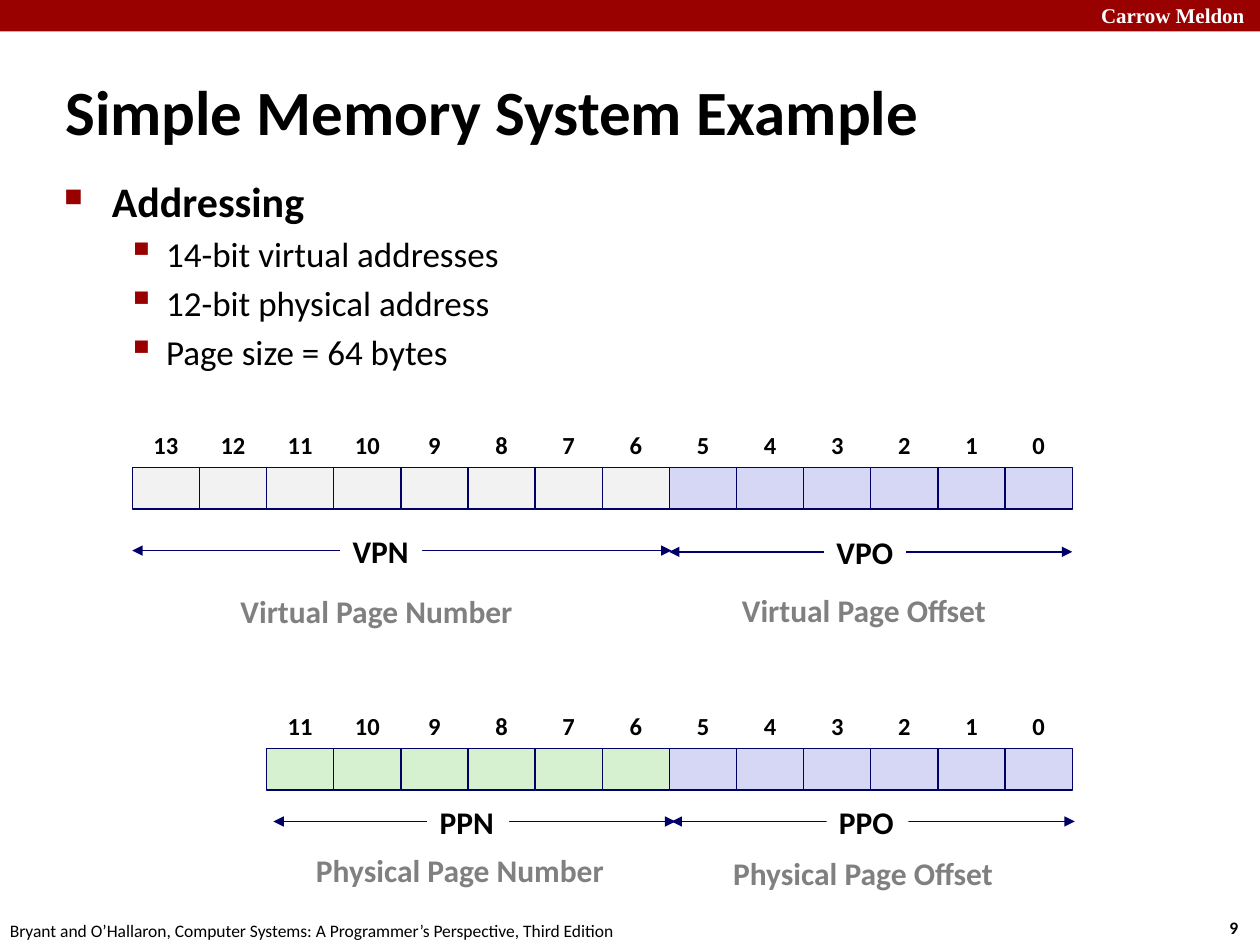
from pptx import Presentation
from pptx.dml.color import RGBColor
from pptx.enum.shapes import MSO_CONNECTOR, MSO_SHAPE
from pptx.enum.text import MSO_ANCHOR, PP_ALIGN
from pptx.oxml.ns import qn
from pptx.util import Inches, Pt
from lxml.etree import SubElement

NAVY, RED, GREY = "000066", "990000", "808080"
PALE, LILAC, GREEN = "F2F2F2", "D6D6F5", "D5F1CF"
LEFT, RIGHT, BITS = 1.05, 8.51, 14
STEP = (RIGHT - LEFT) / BITS
HIGH = 0.33


def color(code):
    return RGBColor.from_string(code)


def add_rect(shapes, x, y, w, h, fill, line=None):
    rect = shapes.add_shape(MSO_SHAPE.RECTANGLE, Inches(x), Inches(y),
                            Inches(w), Inches(h))
    rect.shadow.inherit = False
    rect.fill.solid()
    rect.fill.fore_color.rgb = color(fill)
    if line:
        rect.line.color.rgb = color(line)
        rect.line.width = Pt(0.75)
    else:
        rect.line.fill.background()
    return rect


def add_box(shapes, x, y, w, h):
    return shapes.add_textbox(Inches(x), Inches(y), Inches(w), Inches(h))


def put_text(para, text, size=18, bold=True, ink="000000", font="Calibri",
             align=PP_ALIGN.LEFT, before=0, lead=None):
    para.alignment = align
    para.space_before = Pt(before)
    if lead:
        para.line_spacing = lead
    run = para.add_run()
    run.text = text
    run.font.size, run.font.bold, run.font.name = Pt(size), bold, font
    run.font.color.rgb = color(ink)


def write(shape, text, wrap=False, anchor=MSO_ANCHOR.TOP, **style):
    """Fill a shape with one paragraph of text."""
    frame = shape.text_frame
    frame.word_wrap = wrap
    frame.vertical_anchor = anchor
    put_text(frame.paragraphs[0], text, **style)


def add_bullet(para, mark, scale, indent, hang):
    props = para._p.get_or_add_pPr()
    props.set("marL", str(Inches(indent)))
    props.set("indent", str(-Inches(hang)))
    paint = SubElement(props, qn("a:buClr"))
    SubElement(paint, qn("a:srgbClr"), val=RED)
    SubElement(props, qn("a:buSzPct"), val=str(scale * 1000))
    SubElement(props, qn("a:buChar"), char=mark)


def add_list(shapes):
    frame = add_box(shapes, 0.41, 1.34, 9.09, 1.73).text_frame
    frame.word_wrap = True
    head = frame.paragraphs[0]
    put_text(head, "Addressing", size=24, before=4.8)
    add_bullet(head, "■", 60, 0.38, 0.38)
    for item in ("14-bit virtual addresses", "12-bit physical address",
                 "Page size = 64 bytes"):
        para = frame.add_paragraph()
        para.level = 1
        put_text(para, item, size=20, bold=False, before=4)
        add_bullet(para, "▪", 110, 0.81, 0.31)


def add_bits(shapes, top, count, fill):
    """Draw numbered bits down to 0; the lowest six are the page offset."""
    for bit in reversed(range(count)):
        x = RIGHT - (bit + 1) * STEP
        add_rect(shapes, x, top, STEP, HIGH, LILAC if bit < 6 else fill, NAVY)
        write(add_box(shapes, x, top - HIGH, STEP, HIGH), str(bit), size=14,
              anchor=MSO_ANCHOR.MIDDLE, align=PP_ALIGN.CENTER,
              before=5.2, lead=0.88)


def add_span(shapes, start, end, y, name, x):
    """Draw a two-headed arrow with its name set into it."""
    group = shapes.add_group_shape().shapes
    arrow = group.add_connector(MSO_CONNECTOR.STRAIGHT, Inches(start),
                                Inches(y), Inches(end), Inches(y))
    arrow.line.color.rgb = color(NAVY)
    arrow.line.width = Pt(0.75)
    line = arrow.line._get_or_add_ln()
    for tip in ("a:headEnd", "a:tailEnd"):
        SubElement(line, qn(tip), type="triangle")
    SubElement(arrow._element.spPr, qn("a:effectLst"))
    label = add_rect(group, x, y - 0.16, 0.65, 0.36, "FFFFFF")
    write(label, name, before=6.8, lead=0.88)


def add_frame(shapes):
    add_rect(shapes, 0, 0, 10, 0.25, RED)
    write(add_box(shapes, 8.64, -0.03, 1.43, 0.3), "Carrow Meldon", wrap=True,
          size=12, font="Times New Roman", ink="FFFFFF")
    write(add_box(shapes, 9.66, 7.23, 0.37, 0.27), "9", size=10)
    write(add_box(shapes, -0.02, 7.25, 5.08, 0.27),
          "Bryant and O’Hallaron, Computer Systems: "
          "A Programmer’s Perspective, Third Edition", size=10, bold=False)
    write(add_box(shapes, 0.42, 0.56, 7.99, 0.63),
          "Simple Memory System Example", wrap=True, size=36,
          anchor=MSO_ANCHOR.MIDDLE)


def main():
    deck = Presentation()
    deck.slide_width, deck.slide_height = Inches(10), Inches(7.5)
    shapes = deck.slides.add_slide(deck.slide_layouts[6]).shapes
    add_frame(shapes)
    add_list(shapes)
    add_bits(shapes, 3.71, 14, PALE)
    add_bits(shapes, 5.94, 12, GREEN)
    for span in ((5.31, 8.51, 4.38, "VPO", 6.54),
                 (5.33, 8.53, 6.52, "PPO", 6.56),
                 (2.17, 5.36, 6.52, "PPN", 3.39),
                 (1.05, 5.33, 4.37, "VPN", 2.7)):
        add_span(shapes, *span)
    for x, y, w, text in ((1.81, 4.69, 2.38, "Virtual Page Number"),
                          (5.79, 4.68, 2.16, "Virtual Page Offset"),
                          (2.41, 6.74, 2.5, "Physical Page Number"),
                          (5.72, 6.77, 2.29, "Physical Page Offset")):
        write(add_box(shapes, x, y, w, 0.36), text, ink=GREY,
              before=6.8, lead=0.88)
    deck.save("out.pptx")


if __name__ == "__main__":
    main()
